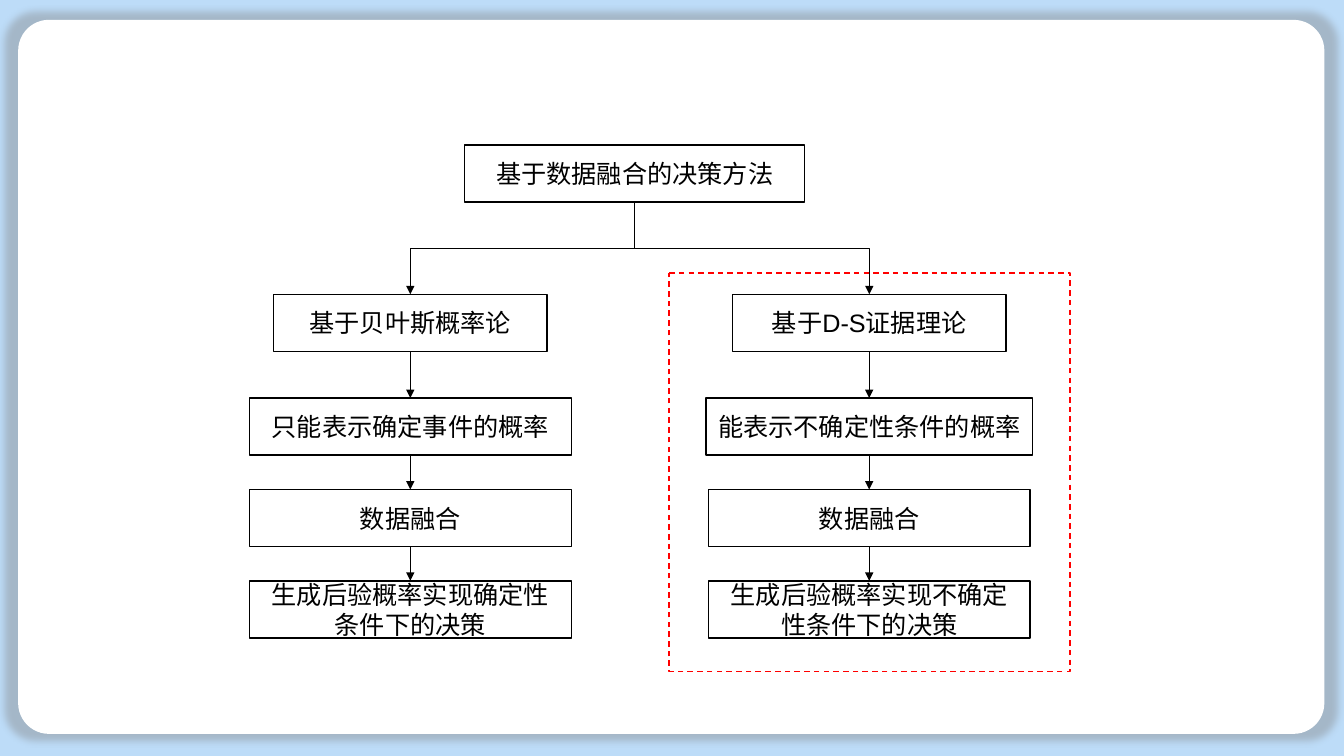
"""Build a slide with a flow chart of two data-fusion decision methods."""
from lxml.etree import SubElement
from pptx import Presentation
from pptx.dml.color import RGBColor
from pptx.enum.dml import MSO_LINE
from pptx.enum.shapes import MSO_CONNECTOR, MSO_SHAPE
from pptx.enum.text import MSO_ANCHOR, PP_ALIGN
from pptx.oxml.ns import qn
from pptx.util import Pt

SKY = RGBColor(0xBD, 0xDC, 0xF8)
WHITE = RGBColor(0xFF, 0xFF, 0xFF)
BLACK = RGBColor(0x00, 0x00, 0x00)
RED = RGBColor(0xFF, 0x00, 0x00)

BOX_HEIGHT = 40.7
ROOT_CENTER, ROOT_TOP, ROOT_WIDTH = 453.3, 103.6, 242.8
ROW_TOPS = [210.2, 284.3, 349.7, 414.9]
BRANCHES = [
    (293.1, -1, [
        ("基于贝叶斯概率论", 195.4),
        ("只能表示确定事件的概率", 229.8),
        ("数据融合", 229.8),
        ("生成后验概率实现确定性条件下的决策", 229.8),
    ]),
    (620.9, 1, [
        ("基于D-S证据理论", 195.4),
        ("能表示不确定性条件的概率", 233.4),
        ("数据融合", 229.8),
        ("生成后验概率实现不确定性条件下的决策", 229.8),
    ]),
]

deck = Presentation()
deck.slide_width, deck.slide_height = Pt(960), Pt(540)
page = deck.slides.add_slide(deck.slide_layouts[6])


def add_box(center, top, width, height, color, text=""):
    box = page.shapes.add_shape(MSO_SHAPE.FLOWCHART_PROCESS, Pt(center - width / 2),
                                Pt(top), Pt(width), Pt(height))
    box.shadow.inherit = False
    box.fill.background()
    box.line.color.rgb = color
    box.line.width = Pt(1)
    if text:
        box.text_frame.word_wrap = True
        box.text_frame.vertical_anchor = MSO_ANCHOR.MIDDLE
        para = box.text_frame.paragraphs[0]
        para.alignment = PP_ALIGN.CENTER
        span = para.add_run()
        span.text = text
        span.font.name = "Arial"
        span.font.size = Pt(18)
        span.font.color.rgb = BLACK
    return box


def add_arrow(kind, start_x, start_y, end_x, end_y):
    arrow = page.shapes.add_connector(kind, Pt(start_x), Pt(start_y), Pt(end_x), Pt(end_y))
    arrow.line.color.rgb = BLACK
    arrow.line.width = Pt(0.5)
    SubElement(arrow.line._get_or_add_ln(), qn("a:tailEnd"), type="triangle")
    SubElement(arrow._element.spPr, qn("a:effectLst"))
    return arrow


backdrop = page.shapes.add_shape(MSO_SHAPE.RECTANGLE, 0, 0, deck.slide_width, deck.slide_height)
backdrop.fill.solid()
backdrop.fill.fore_color.rgb = SKY
panel = page.shapes.add_shape(MSO_SHAPE.ROUNDED_RECTANGLE, Pt(13), Pt(14.2), Pt(933), Pt(510))
panel.adjustments[0] = 0.043
panel.fill.solid()
panel.fill.fore_color.rgb = WHITE
for surface in (backdrop, panel):
    surface.shadow.inherit = False
    surface.line.fill.background()

effects = panel._element.spPr.find(qn("a:effectLst"))
glow = SubElement(effects, qn("a:outerShdw"), blurRad=str(Pt(5)), sx="102000", sy="102000",
                  algn="ctr", rotWithShape="0")
tint = SubElement(glow, qn("a:srgbClr"), val="808080")
SubElement(tint, qn("a:alpha"), val="40000")

add_box(ROOT_CENTER, ROOT_TOP, ROOT_WIDTH, BOX_HEIGHT, BLACK, "基于数据融合的决策方法")
for center, side, steps in BRANCHES:
    for top, (text, width) in zip(ROW_TOPS, steps):
        add_box(center, top, width, BOX_HEIGHT, BLACK, text)

for center, side, steps in BRANCHES:
    for top, next_top in zip(ROW_TOPS, ROW_TOPS[1:]):
        add_arrow(MSO_CONNECTOR.STRAIGHT, center, top + BOX_HEIGHT, center, next_top)

root_bottom = ROOT_TOP + BOX_HEIGHT
drop = ROW_TOPS[0] - root_bottom
middle_y = root_bottom + drop / 2
for center, side, steps in BRANCHES:
    middle_x = (ROOT_CENTER + center) / 2
    reach = abs(center - ROOT_CENTER)
    elbow = add_arrow(MSO_CONNECTOR.ELBOW,
                      middle_x + side * drop / 2, middle_y - reach / 2,
                      middle_x - side * drop / 2, middle_y + reach / 2)
    turn = 180 + side * 90
    elbow._element.spPr.find(qn("a:xfrm")).set("rot", str(turn * 60000))

highlight = add_box(621.2, 195, 286.4, 284.5, RED)
highlight.line.dash_style = MSO_LINE.DASH

deck.save("out.pptx")
